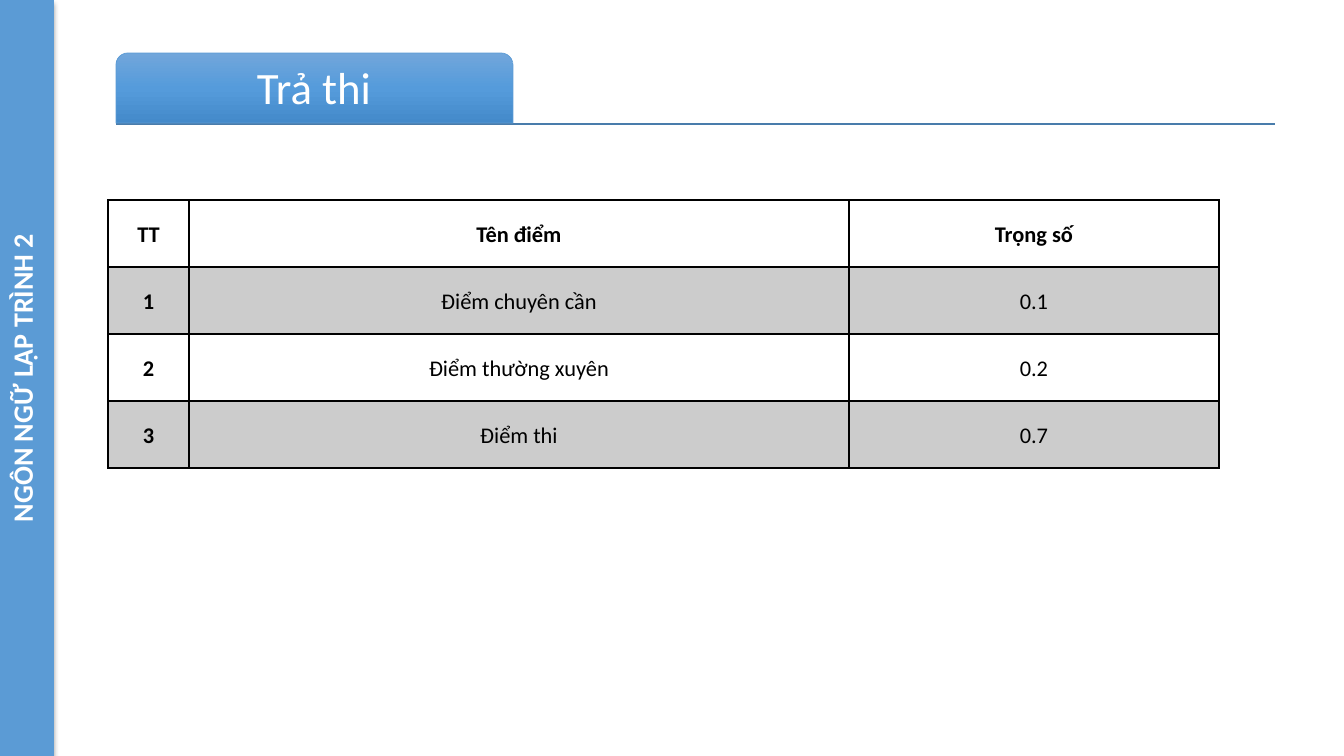
import copy

import pptx
import pptx.chart.data
import pptx.dml.color
import pptx.enum.shapes
import pptx.enum.text
import pptx.oxml
import pptx.oxml.ns
import pptx.util

PX = 914400 / 100.8
FONT = "Calibri"
COLORS = {
    "bar": "5B9BD5", "rule": "497CAB", "band": "CCCCCC",
    "black": "000000", "white": "FFFFFF",
    "top": "71A6DB", "middle": "559BDB", "bottom": "448ACA",
}
ROWS = [
    ("TT", "Tên điểm", "Trọng số"),
    ("1", "Điểm chuyên cần", "0.1"),
    ("2", "Điểm thường xuyên", "0.2"),
    ("3", "Điểm thi", "0.7"),
]
WIDTHS = (81, 660, 370)
HEIGHT = 67
NS = pptx.oxml.ns.nsdecls("a")


def emu(*lengths):
    return [pptx.util.Emu(round(n * PX)) for n in lengths]


def rgb(name):
    return pptx.dml.color.RGBColor.from_string(COLORS[name])


def style(para, size, color, bold=False):
    para.alignment = pptx.enum.text.PP_ALIGN.CENTER
    para.font.name = FONT
    para.font.size = pptx.util.Pt(size)
    para.font.bold = bold
    para.font.color.rgb = rgb(color)


def add_bar(slide, text):
    """Draw the side bar with its upward text and soft shadow."""
    kind = pptx.enum.shapes.MSO_SHAPE.RECTANGLE
    bar = slide.shapes.add_shape(kind, *emu(0, 0, 54, 756))
    bar.fill.solid()
    bar.fill.fore_color.rgb = rgb("bar")
    bar.line.fill.background()
    bar._element.spPr.append(pptx.oxml.parse_xml(
        f'<a:effectLst {NS}><a:outerShdw blurRad="44450" dist="27940" dir="5400000">'
        f'<a:srgbClr val="{COLORS["black"]}"><a:alpha val="32000"/></a:srgbClr>'
        '</a:outerShdw></a:effectLst>'))
    frame = bar.text_frame
    frame.text = text
    frame.vertical_anchor = pptx.enum.text.MSO_ANCHOR.TOP
    frame._txBody.bodyPr.set("vert", "vert270")
    style(frame.paragraphs[0], 20, "white", True)


def add_rule(slide):
    kind = pptx.enum.shapes.MSO_CONNECTOR.STRAIGHT
    rule = slide.shapes.add_connector(kind, *emu(116, 124, 1275, 124))
    rule.line.color.rgb = rgb("rule")
    rule.line.width = pptx.util.Pt(1)
    rule._element.spPr.append(pptx.oxml.parse_xml(f"<a:effectLst {NS}/>"))


def add_tab(slide):
    """Draw the round-topped tab behind the title."""
    kind = pptx.enum.shapes.MSO_SHAPE.ROUND_2_SAME_RECTANGLE
    tab = slide.shapes.add_shape(kind, *emu(116, 53, 397, 70))
    tab.shadow.inherit = False
    tab.adjustments[0] = 0.17
    tab.line.color.rgb = rgb("bar")
    tab.line.width = pptx.util.Pt(0.5)
    tab.fill.gradient()
    tab.fill.gradient_angle = 270
    stops = tab._element.spPr.find(".//" + pptx.oxml.ns.qn("a:gsLst"))
    stops.append(copy.deepcopy(stops[0]))
    shades = ("top", "middle", "bottom")
    for i, (stop, shade) in enumerate(zip(tab.fill.gradient_stops, shades)):
        stop.position = i / 2
        stop.color.rgb = rgb(shade)


def set_title(slide, text):
    title = slide.shapes.title
    title.left, title.top, title.width, title.height = emu(119, 56, 390, 67)
    slide.shapes._spTree.append(title._element)  # in front of the tab
    frame = title.text_frame
    frame.text = text
    frame.word_wrap = True
    frame.vertical_anchor = pptx.enum.text.MSO_ANCHOR.MIDDLE
    frame.margin_left, frame.margin_top, frame.margin_right, frame.margin_bottom = emu(7, 7, 7, 7)
    para = frame.paragraphs[0]
    para.line_spacing = 0.9
    style(para, 32, "white")


def set_borders(cell, **points):
    for side, width in points.items():
        cell._tc.get_or_add_tcPr().append(pptx.oxml.parse_xml(
            f'<a:ln{side} {NS} w="{pptx.util.Pt(width)}"><a:solidFill>'
            f'<a:srgbClr val="{COLORS["black"]}"/></a:solidFill></a:ln{side}>'))


def set_cell(cell, text, row, col):
    cell.text = text
    cell.vertical_anchor = pptx.enum.text.MSO_ANCHOR.MIDDLE
    cell.margin_left, cell.margin_top, cell.margin_right, cell.margin_bottom = emu(7, 0, 7, 0)
    para = cell.text_frame.paragraphs[0]
    para.line_spacing = 1.07
    style(para, 16, "black", row == 0 or col == 0)
    set_borders(cell, L=1, R=1, T=2 if row == 1 else 1, B=2 if row == 0 else 1)
    if row % 2:
        cell.fill.solid()
        cell.fill.fore_color.rgb = rgb("band")
    else:
        cell.fill.background()


def add_grades(slide):
    box = emu(108, 200, sum(WIDTHS), HEIGHT * len(ROWS))
    table = slide.shapes.add_table(len(ROWS), len(WIDTHS), *box).table
    for col, width in zip(table.columns, emu(*WIDTHS)):
        col.width = width
    for r, texts in enumerate(ROWS):
        for c, text in enumerate(texts):
            set_cell(table.cell(r, c), text, r, c)


def main():
    deck = pptx.Presentation()
    deck.slide_width, deck.slide_height = emu(1344, 756)
    slide = deck.slides.add_slide(deck.slide_layouts[5])
    add_bar(slide, "NGÔN NGỮ LẬP TRÌNH 2")
    add_grades(slide)
    add_rule(slide)
    add_tab(slide)
    set_title(slide, "Trả thi")
    deck.save("out.pptx")


if __name__ == "__main__":
    main()
